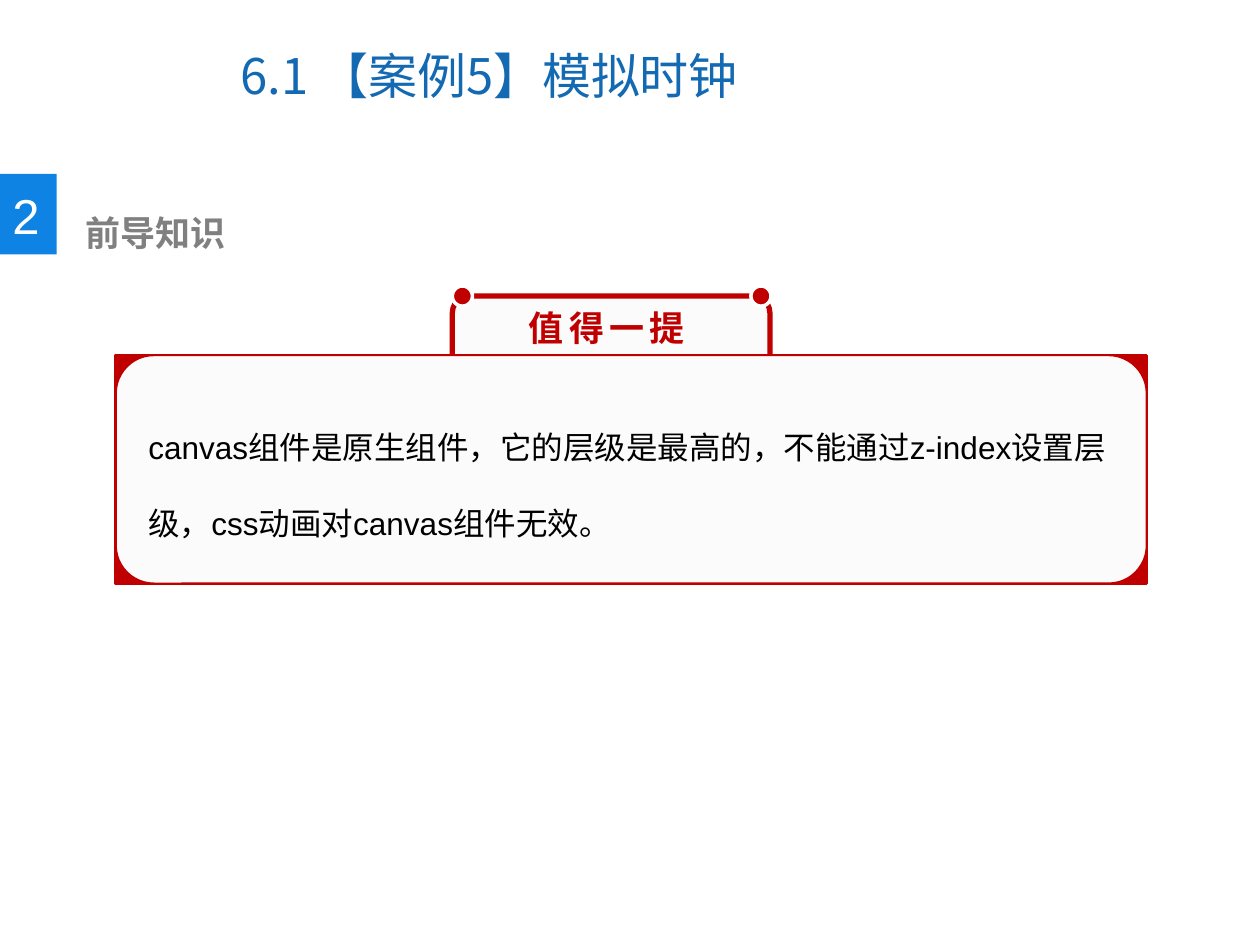
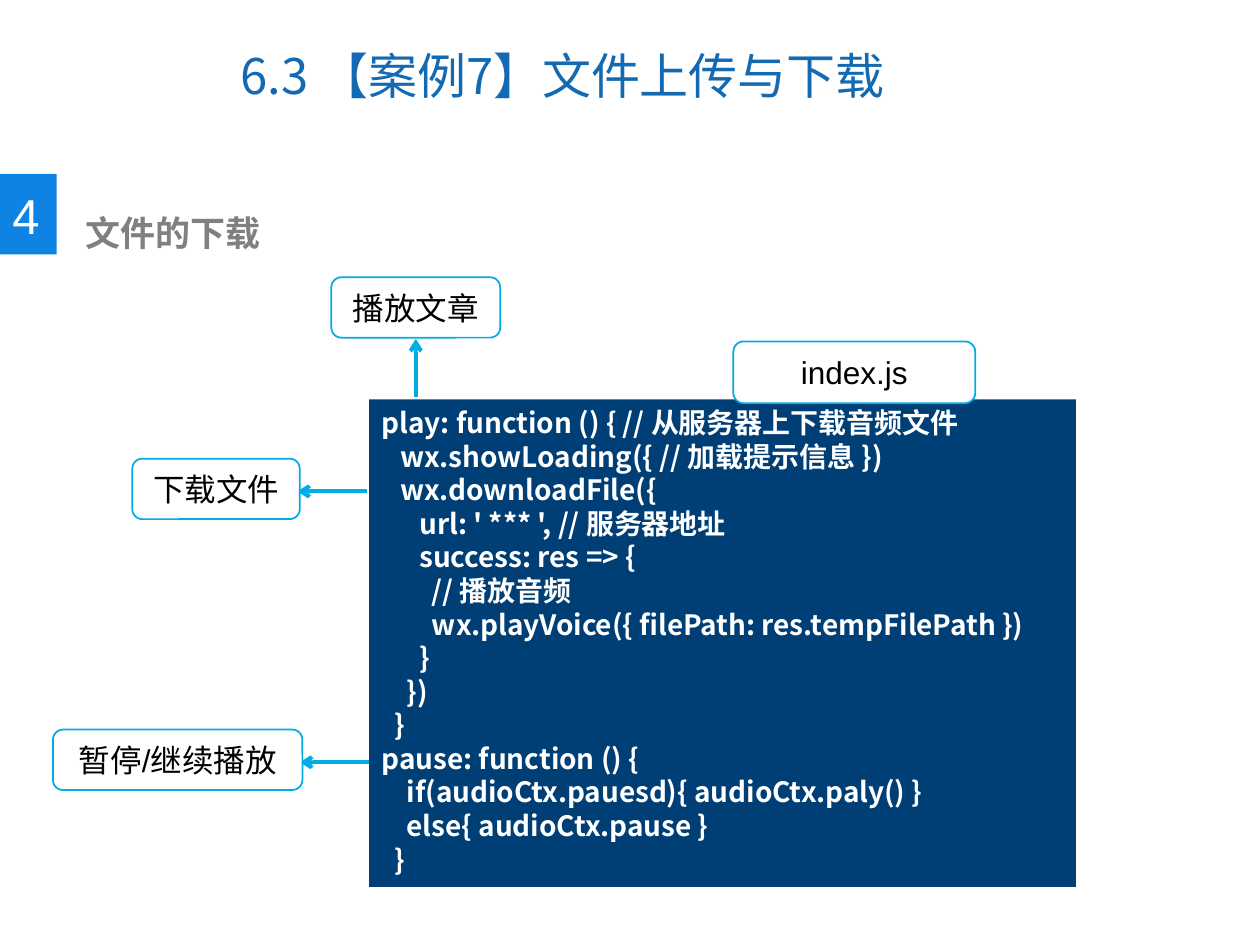
from lxml import etree
from pptx import Presentation
from pptx.dml.color import RGBColor
from pptx.enum.shapes import MSO_CONNECTOR, MSO_SHAPE
from pptx.enum.text import MSO_ANCHOR, PP_ALIGN
from pptx.oxml.ns import qn
from pptx.util import Inches, Pt

RECT = MSO_SHAPE.RECTANGLE
ROUND = MSO_SHAPE.ROUNDED_RECTANGLE
FLOW = MSO_SHAPE.FLOWCHART_PROCESS
SOFT = MSO_SHAPE.FLOWCHART_ALTERNATE_PROCESS
DOT = MSO_SHAPE.OVAL
LINE = MSO_CONNECTOR.STRAIGHT
TOP, MIDDLE = MSO_ANCHOR.TOP, MSO_ANCHOR.MIDDLE
LEFT, CENTER = PP_ALIGN.LEFT, PP_ALIGN.CENTER

COLS, ROWS = 100, 75
ARIAL, NOTO = "Arial", "Noto Sans CJK SC"
WHITE, PALE, RED, CYAN, NAVY = "FFFFFF", "FBFBFB", "C00000", "00ACE6", "003F75"

TITLE = dict(size=28, name=NOTO, color="1369B2")
NUMBER = dict(size=28, name=ARIAL, color=WHITE)
HEAD = dict(size=20, name=ARIAL, color="808080", bold=True)
BODY = dict(size=18, name=ARIAL, color="000000")
BADGE = dict(size=20, name=NOTO, color=RED, bold=True)
CODE = dict(size=16, name=NOTO, color=WHITE, bold=True)

# Each code line: indent in spaces, text
LISTING = [
    (0, "play: function () { // 从服务器上下载音频文件"),
    (3, "wx.showLoading({ // 加载提示信息 })"),
    (3, "wx.downloadFile({"),
    (6, "url: ' *** ', // 服务器地址"),
    (6, "success: res => {"),
    (8, "// 播放音频"),
    (8, "wx.playVoice({ filePath: res.tempFilePath })"),
    (6, "}"),
    (4, "})"),
    (2, "}"),
    (0, "pause: function () {"),
    (4, "if(audioCtx.pauesd){ audioCtx.paly() }"),
    (4, "else{ audioCtx.pause }"),
    (2, "}"),
]

# Each callout: text, label frame, arrow start, arrow end
CALLOUTS = [
    ("播放文章", (26.3, 22, 13.4, 4.8), (33, 31.5), (33, 26.9)),
    ("暂停/继续播放", (4.2, 57.9, 19.8, 4.8), (29.3, 60.5), (23.8, 60.5)),
    ("下载文件", (10.5, 36.4, 13.3, 4.8), (29.1, 39), (23.6, 39)),
]


def rgb(code):
    return RGBColor.from_string(code)


class Deck:
    """Slide style plus the slide being drawn; lengths are in grid units."""

    def __init__(self):
        self.prs = Presentation()
        self.prs.slide_width, self.prs.slide_height = Inches(10), Inches(7.5)
        self.col = self.prs.slide_width / COLS
        self.row = self.prs.slide_height / ROWS

    def place(self, *cells):
        """Turn alternating columns and rows into lengths."""
        return [round(n * (self.row if i % 2 else self.col))
                for i, n in enumerate(cells)]

    def start(self, title, number, head, width):
        """Open a slide with its title and numbered heading."""
        self.slide = self.prs.slides.add_slide(self.prs.slide_layouts[6])
        self.text((18.1, 1.7, width, 8.5), title, TITLE, anchor=MIDDLE)
        self.box(RECT, (0, 13.8, 4.5, 6.4), "0F83E3")
        self.text((0, 14.2, 4.2, 5.7), number, NUMBER, wrap=False)
        self.text((5.8, 16.3, 50.3, 4.4), head, HEAD)

    def box(self, kind, frame, fill, line=None, width=1):
        shape = self.slide.shapes.add_shape(kind, *self.place(*frame))
        shape.shadow.inherit = False
        shape.fill.solid()
        shape.fill.fore_color.rgb = rgb(fill)
        if line:
            shape.line.color.rgb = rgb(line)
            shape.line.width = Pt(width)
        else:
            shape.line.fill.background()
        return shape

    def text(self, frame, words, style, **rules):
        shape = self.slide.shapes.add_textbox(*self.place(*frame))
        self.typeset(shape, [(0, words)], style, **rules)

    def typeset(self, shape, lines, style, anchor=TOP, align=LEFT, wrap=True,
                space=None, track=0):
        """Fill a shape with (indent, text) lines."""
        frame = shape.text_frame
        frame.word_wrap, frame.vertical_anchor = wrap, anchor
        for i, (indent, words) in enumerate(lines):
            para = frame.add_paragraph() if i else frame.paragraphs[0]
            para.alignment, para.line_spacing = align, space
            if indent:
                edge = para._p.get_or_add_pPr()
                edge.set("marL", str(Inches(indent * 0.05)))
                edge.set("indent", "0")
            run = para.add_run()
            run.text = words
            self.style(run, style, track)

    def style(self, run, style, track):
        for key, value in style.items():
            if key == "color":
                run.font.color.rgb = rgb(value)
            else:
                setattr(run.font, key, Pt(value) if key == "size" else value)
        props = run._r.get_or_add_rPr()
        etree.SubElement(props, qn("a:ea")).set("typeface", NOTO)
        if track:
            props.set("spc", str(track * 100))

    def label(self, frame, words):
        shape = self.box(ROUND, frame, WHITE, CYAN)
        self.typeset(shape, [(0, words)], BODY, anchor=MIDDLE, align=CENTER)

    def arrow(self, tail, tip):
        link = self.slide.shapes.add_connector(LINE, *self.place(*tail, *tip))
        link.line.color.rgb = rgb(CYAN)
        link.line.width = Pt(2.25)
        props = link._element.spPr
        etree.SubElement(props.find(qn("a:ln")),
                         qn("a:tailEnd")).set("type", "arrow")
        etree.SubElement(props, qn("a:effectLst"))


def draw_note(deck):
    deck.start("6.1 【案例5】模拟时钟", "2", "前导知识", 51.6)
    deck.box(ROUND, (35.9, 23.5, 25.2, 7.9), PALE, RED, 3)
    panel = (9.2, 28.2, 81.8, 18.1)
    deck.box(FLOW, panel, RED, RED, 2)
    deck.box(SOFT, panel, PALE, RED)
    for left in (35.9, 59.6):
        deck.box(DOT, (left, 22.7, 1.6, 1.6), RED, WHITE, 2)
    deck.text((41, 23.8, 15, 4.4), "值得一提", BADGE, wrap=False, track=3)
    deck.text((10.8, 30.5, 78.9, 12.2),
              "canvas组件是原生组件，它的层级是最高的，不能通过z-index设置层级，"
              "css动画对canvas组件无效。", BODY, space=2.0)


def draw_code(deck):
    deck.start("6.3 【案例7】文件上传与下载", "4", "文件的下载", 54)
    panel = deck.box(RECT, (29.3, 31.7, 56.1, 38.7), NAVY)
    deck.typeset(panel, LISTING, CODE)
    deck.label((58.2, 27.1, 19.2, 4.9), "index.js")
    for words, frame, tail, tip in CALLOUTS:
        deck.arrow(tail, tip)
        deck.label(frame, words)


def main():
    deck = Deck()
    draw_note(deck)
    draw_code(deck)
    deck.prs.save("out.pptx")


if __name__ == "__main__":
    main()
